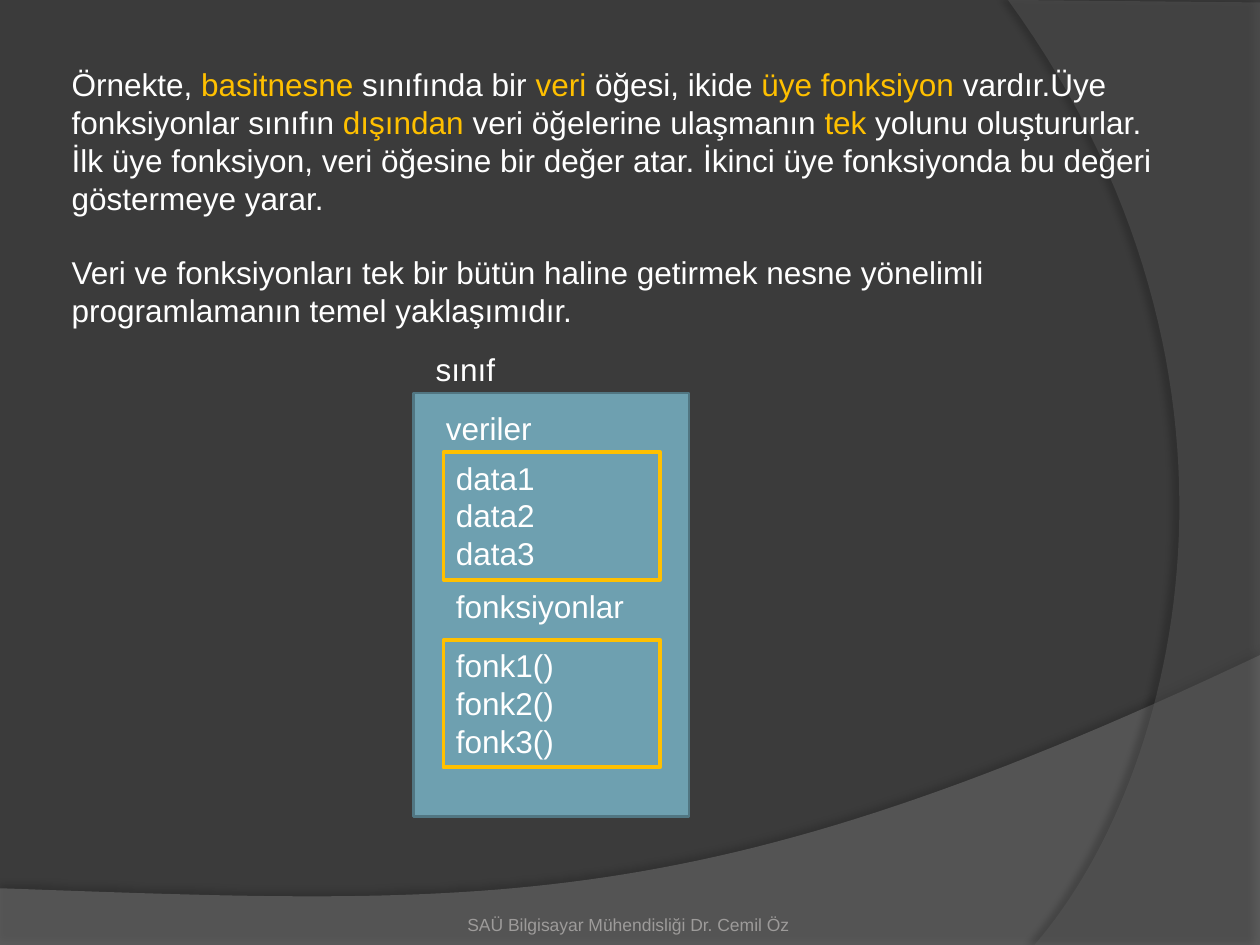
from lxml import etree
from pptx import Presentation
from pptx.dml.color import RGBColor
from pptx.enum import shapes, text
from pptx.oxml import ns
from pptx.util import Inches, Pt

BACKGROUND = RGBColor(0x3B, 0x3B, 0x3B)
WAVE = RGBColor(0x7F, 0x7F, 0x7F)
ARC = RGBColor(0x5E, 0x5E, 0x5E)
BLACK = RGBColor(0, 0, 0)
WHITE = RGBColor(0xFF, 0xFF, 0xFF)
GOLD = RGBColor(0xFF, 0xC0, 0x00)
TEAL = RGBColor(0x6E, 0xA0, 0xB0)
DARK_TEAL = RGBColor(0x51, 0x76, 0x82)
GREY = RGBColor(0x9D, 0x9B, 0x9A)
FONT = "Arial"

# Each span is (wording, highlighted)
EXPLANATION = [
    [("Örnekte, ", False), ("basitnesne", True), (" sınıfında bir ", False),
     ("veri ", True), ("öğesi, ikide ", False), ("üye fonksiyon ", True),
     ("vardır.Üye fonksiyonlar sınıfın ", False), ("dışından", True),
     (" veri öğelerine ulaşmanın ", False), ("tek", True),
     (" yolunu oluştururlar. İlk üye fonksiyon, veri öğesine bir değer atar. "
      "İkinci üye fonksiyonda bu değeri göstermeye yarar.", False)],
    [("Veri ve fonksiyonları tek bir bütün haline getirmek nesne yönelimli "
      "programlamanın temel yaklaşımıdır.", False)],
]


def curve(start, control1, control2, end, steps=60):
    """Return points along a cubic Bézier curve."""
    points = []
    for step in range(steps + 1):
        t = step / steps
        weights = ((1 - t) ** 3, 3 * t * (1 - t) ** 2, 3 * t * t * (1 - t), t ** 3)
        points.append(tuple(
            sum(weight * point[axis] for weight, point
                in zip(weights, (start, control1, control2, end)))
            for axis in (0, 1)))
    return points


def add_sheet(page, points, color, opacity, shadow_opacity, distance, direction):
    """Add a translucent outline that casts a soft shadow."""
    points = [(Inches(x), Inches(y)) for x, y in points]
    builder = page.shapes.build_freeform(*points[0], scale=1.0)
    builder.add_line_segments(points[1:], close=True)
    sheet = builder.convert_to_shape()
    sheet.fill.solid()
    sheet.fill.fore_color.rgb = color
    sheet.line.fill.background()
    sheet.shadow.inherit = False
    properties = sheet.element.spPr
    fill_color = properties.find(ns.qn("a:solidFill")).find(ns.qn("a:srgbClr"))
    etree.SubElement(fill_color, ns.qn("a:alpha"), val=str(opacity * 1000))
    shadow = etree.SubElement(
        properties.find(ns.qn("a:effectLst")), ns.qn("a:outerShdw"),
        blurRad=str(Pt(4)), dist=str(Pt(distance)), dir=str(direction * 60000),
        algn="ctr", rotWithShape="0")
    shadow_color = etree.SubElement(shadow, ns.qn("a:srgbClr"), val=str(BLACK))
    etree.SubElement(shadow_color, ns.qn("a:alpha"), val=str(shadow_opacity * 1000))


def add_backdrop(page, width, height):
    page.background.fill.solid()
    page.background.fill.fore_color.rgb = BACKGROUND
    wave = curve((width, 5.2), (5.59, 7.29), (3.91, 7.19), (0, 7.05))
    add_sheet(page, wave + [(0, height), (width, height)], WAVE, 45, 35, 3.5, 270)
    arc = curve((8.21, height), (9.35, 6.19), (10.18, 3), (8, 0))
    add_sheet(page, arc + [(width, 0.02), (width, height)], ARC, 40, 45, 4, 180)


def style_font(font, color=WHITE, size=18):
    font.name = FONT
    font.size = Pt(size)
    font.color.rgb = color


def add_label(page, wording, left, top, width=1.64, height=0.4):
    box = page.shapes.add_textbox(*map(Inches, (left, top, width, height)))
    box.text_frame.word_wrap = True
    box.text_frame.text = wording
    style_font(box.text_frame.paragraphs[0].runs[0].font)
    return box


def add_explanation(page, left, top, width, height):
    box = page.shapes.add_textbox(*map(Inches, (left, top, width, height)))
    frame = box.text_frame
    frame.word_wrap = True
    for index, spans in enumerate(EXPLANATION):
        para = frame.add_paragraph() if index else frame.paragraphs[0]
        if index:
            para.space_before = Pt(21)
        for wording, highlighted in spans:
            span = para.add_run()
            span.text = wording
            style_font(span.font, GOLD if highlighted else WHITE)


def add_rectangle(page, left, top, width, height, line_color, line_width):
    rectangle = page.shapes.add_shape(
        shapes.MSO_SHAPE.RECTANGLE, *map(Inches, (left, top, width, height)))
    rectangle.shadow.inherit = False
    rectangle.fill.background()
    rectangle.line.color.rgb = line_color
    rectangle.line.width = Pt(line_width)
    return rectangle


def add_member_box(page, members, left, top):
    rectangle = add_rectangle(page, left, top, 1.72, 1.01, GOLD, 2.25)
    frame = rectangle.text_frame
    frame.text = "\n".join(members)
    frame.vertical_anchor = text.MSO_ANCHOR.TOP
    for para in frame.paragraphs:
        para.alignment = text.PP_ALIGN.LEFT
        style_font(para.runs[0].font)


def add_class_diagram(page, left, top, width, height):
    body = add_rectangle(page, left, top, width, height, DARK_TEAL, 1.5)
    body.fill.solid()
    body.fill.fore_color.rgb = TEAL
    add_label(page, "sınıf", left + 0.08, top - 0.39)
    add_label(page, "veriler", left + 0.16, top + 0.08)
    add_label(page, "fonksiyonlar", left + 0.24, top + 1.49)
    numbers = range(1, 4)
    add_member_box(page, [f"data{n}" for n in numbers], left + 0.24, top + 0.47)
    add_member_box(page, [f"fonk{n}()" for n in numbers], left + 0.24, top + 1.96)


def add_footer(page, left, top, width, height):
    box = add_label(page, "SAÜ Bilgisayar Mühendisliği Dr. Cemil Öz ",
                    left, top, width, height)
    frame = box.text_frame
    frame.margin_left = frame.margin_right = frame.margin_bottom = 0
    frame.vertical_anchor = text.MSO_ANCHOR.BOTTOM
    para = frame.paragraphs[0]
    para.alignment = text.PP_ALIGN.CENTER
    style_font(para.runs[0].font, GREY, 10)


def main():
    deck = Presentation()
    deck.slide_width, deck.slide_height = Inches(10), Inches(7.5)
    page = deck.slides.add_slide(deck.slide_layouts[6])
    add_backdrop(page, 10, 7.5)
    add_footer(page, 3.42, 7.02, 3.17, 0.4)
    add_explanation(page, 0.47, 0.47, 8.83, 2.52)
    add_class_diagram(page, 3.28, 3.12, 2.19, 3.36)
    deck.save("out.pptx")


if __name__ == "__main__":
    main()
